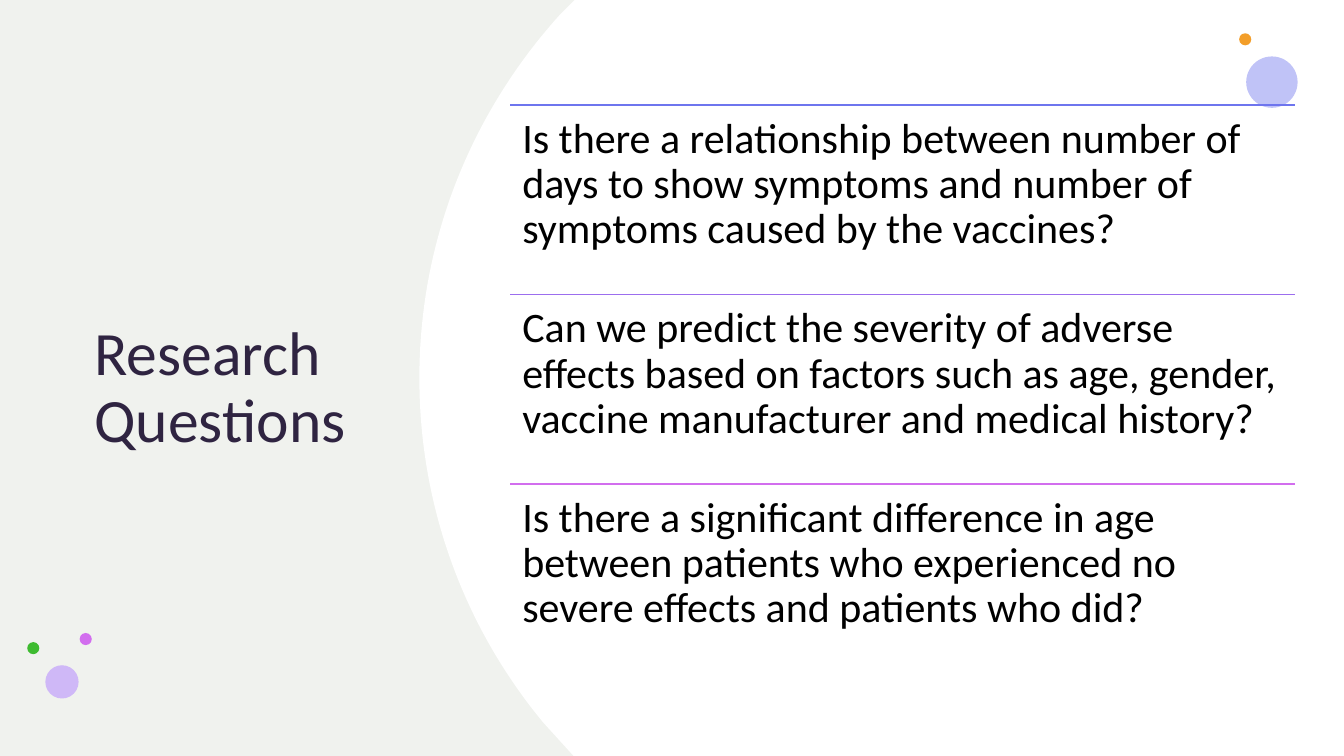
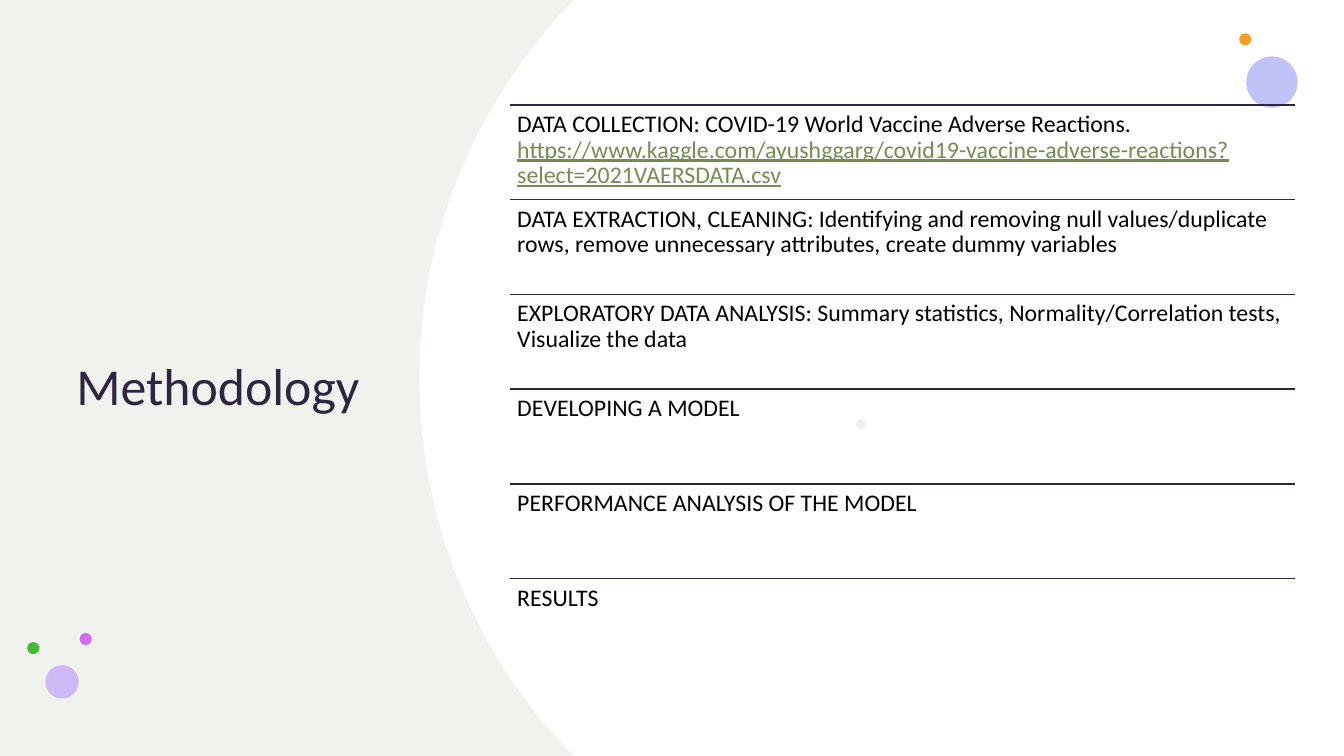
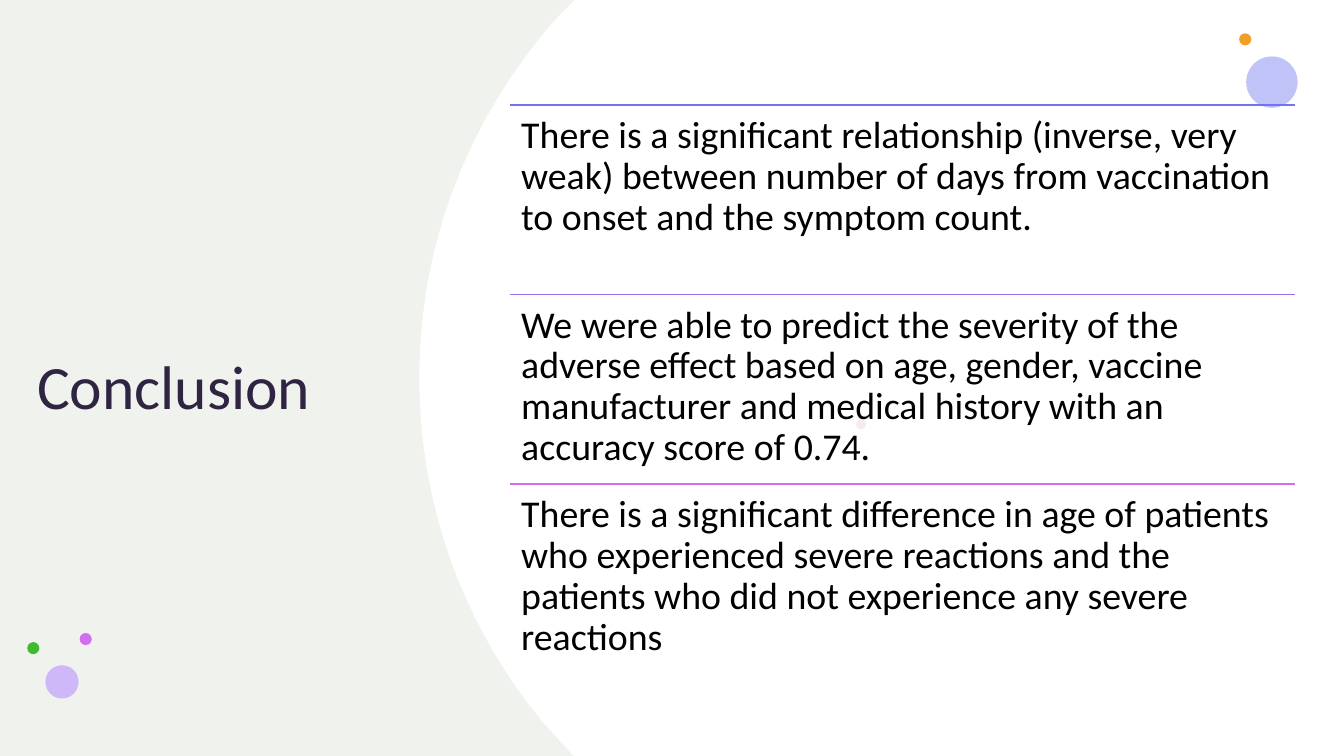
from pptx import Presentation
from pptx.dml.color import RGBColor
from pptx.enum.shapes import MSO_CONNECTOR as Connector, MSO_SHAPE as Shape
from pptx.enum.text import MSO_ANCHOR as Anchor
from pptx.oxml.ns import qn
from pptx.util import Inches, Pt
from lxml.etree import SubElement

FONT = "Calibri"
BLACK = RGBColor(0x00, 0x00, 0x00)
WHITE = RGBColor(0xFF, 0xFF, 0xFF)
PLUM = RGBColor(0x2F, 0x24, 0x41)
SAGE = RGBColor(0xD0, 0xD4, 0xC8)
OLIVE = RGBColor(0x76, 0x8A, 0x53)
BLUE = RGBColor(0x6E, 0x75, 0xEE)
VIOLET = RGBColor(0x9C, 0x6E, 0xEE)
MAGENTA = RGBColor(0xD2, 0x6E, 0xEE)
PERIWINKLE = RGBColor(0xA8, 0xAC, 0xF5)
ORANGE = RGBColor(0xF3, 0x9E, 0x29)
ROSE = RGBColor(0xE3, 0xBE, 0xBE)
LAVENDER = RGBColor(0xCF, 0xB8, 0xF7)
GREEN = RGBColor(0x3E, 0xBB, 0x30)

WIDTH, HEIGHT = 13.33, 7.5
TOP, BODY_HEIGHT = 1.04, 5.64
LIST_LEFT, LIST_WIDTH = 5.06, 7.78
TITLE_RIGHT = 3.97

DOTS = [
    (12.36, 0.56, 0.51, PERIWINKLE, 72),
    (12.29, 0.33, 0.12, ORANGE, 100),
    (8.49, 4.16, 0.1, ROSE, 28),
    (0.79, 6.28, 0.12, MAGENTA, 100),
    (0.45, 6.6, 0.33, LAVENDER, 100),
    (0.27, 6.37, 0.12, GREEN, 100),
]
PANEL_CORNERS = [(5.7, 0), (WIDTH, 0), (WIDTH, HEIGHT), (5.69, HEIGHT)]
PANEL_CURVES = [
    [(5.39, 7.17), (4.62, 6.24), (4.16, 5.05), (4.16, 3.75)],
    [(4.16, 3.75), (4.16, 2.36), (4.69, 1.1), (5.56, 0.14)],
]
CURVE_STEPS = 40

SLIDES = [
    {
        "title": "Research Questions", "title_left": 0.84, "title_size": 44,
        "size": 30, "inset": 0.12, "rules": [BLUE, VIOLET, MAGENTA],
        "items": [
            "Is there a relationship between number of days to show symptoms "
            "and number of symptoms caused by the vaccines?",
            "Can we predict the severity of adverse effects based on factors such as "
            "age, gender, vaccine manufacturer and medical history?",
            "Is there a significant difference in age between patients who experienced "
            "no severe effects and patients who did?",
        ],
    },
    {
        "title": "Methodology", "title_left": 0.66, "title_size": 37,
        "size": 17, "inset": 0.07, "rules": [PLUM] * 6,
        "items": [
            "DATA COLLECTION: COVID-19 World Vaccine Adverse Reactions. "
            "https://www.kaggle.com/ayushggarg/covid19-vaccine-adverse-reactions"
            "?select=2021VAERSDATA.csv",
            "DATA EXTRACTION, CLEANING: Identifying and removing null values/duplicate "
            "rows, remove unnecessary attributes, create dummy variables",
            "EXPLORATORY DATA ANALYSIS: Summary statistics, Normality/Correlation tests, "
            "Visualize the data",
            "DEVELOPING A MODEL",
            "PERFORMANCE ANALYSIS OF THE MODEL",
            "RESULTS",
        ],
    },
    {
        "title": "Conclusion", "title_left": 0.27, "title_size": 44,
        "size": 27, "inset": 0.11, "rules": [BLUE, VIOLET, MAGENTA],
        "items": [
            "There is a significant relationship (inverse, very weak) between number of "
            "days from vaccination to onset and the symptom count.",
            "We were able to predict the severity of the adverse effect based on age, "
            "gender, vaccine manufacturer and medical history with an accuracy score of 0.74.",
            "There is a significant difference in age of patients who experienced severe "
            "reactions and the patients who did not experience any severe reactions",
        ],
    },
]


def style_shape(shape, color, opacity=100):
    shape.shadow.inherit = False
    shape.line.fill.background()
    shape.fill.solid()
    shape.fill.fore_color.rgb = color
    if opacity < 100:
        color_element = shape.fill._xPr.find(qn("a:solidFill"))[0]
        SubElement(color_element, qn("a:alpha"), val=str(opacity * 1000))


def add_preset(slide, preset, left, top, width, height, color, opacity):
    shape = slide.shapes.add_shape(
        preset, Inches(left), Inches(top), Inches(width), Inches(height))
    style_shape(shape, color, opacity)


def curve_points(start, control1, control2, end):
    for step in range(CURVE_STEPS + 1):
        t = step / CURVE_STEPS
        u = 1 - t
        yield tuple(
            u**3 * a + 3 * u * u * t * b + 3 * u * t * t * c + t**3 * d
            for a, b, c, d in zip(start, control1, control2, end))


def add_panel(slide):
    points = PANEL_CORNERS + [
        point for curve in PANEL_CURVES for point in curve_points(*curve)]
    points = [(Inches(x), Inches(y)) for x, y in points]
    builder = slide.shapes.build_freeform(*points[0])
    builder.add_line_segments(points[1:])
    style_shape(builder.convert_to_shape(), WHITE)


def add_text(slide, text, left, top, width, height, *, size, color=BLACK,
             inset_x=0.1, inset_y=0.05, anchor=Anchor.TOP):
    box = slide.shapes.add_textbox(
        Inches(left), Inches(top), Inches(width), Inches(height))
    frame = box.text_frame
    frame.word_wrap = True
    frame.vertical_anchor = anchor
    frame.margin_left = frame.margin_right = Inches(inset_x)
    frame.margin_top = frame.margin_bottom = Inches(inset_y)
    paragraph = frame.paragraphs[0]
    paragraph.line_spacing = 0.9
    label, scheme, address = text.partition("https://")
    for part, is_address in ((label, False), (scheme + address, True)):
        if part:
            run = paragraph.add_run()
            run.text = part
            run.font.name = FONT
            run.font.size = Pt(size)
            run.font.color.rgb = OLIVE if is_address else color
            if is_address:
                run.font.underline = True


def add_rule(slide, top, color):
    rule = slide.shapes.add_connector(
        Connector.STRAIGHT, Inches(LIST_LEFT), Inches(top),
        Inches(LIST_LEFT + LIST_WIDTH), Inches(top))
    rule.line.color.rgb = color
    rule.line.width = Pt(1)
    SubElement(rule._element.spPr, qn("a:effectLst"))


def add_backdrop(slide):
    slide.background.fill.solid()
    slide.background.fill.fore_color.rgb = WHITE
    add_preset(slide, Shape.RECTANGLE, 0, 0, WIDTH, HEIGHT, SAGE, 30)
    add_panel(slide)
    for left, top, diameter, color, opacity in DOTS:
        add_preset(slide, Shape.OVAL, left, top, diameter, diameter, color, opacity)


def add_list(slide, content):
    row_height = BODY_HEIGHT / len(content["items"])
    for index, (item, color) in enumerate(zip(content["items"], content["rules"])):
        top = TOP + index * row_height
        add_rule(slide, top, color)
        add_text(slide, item, LIST_LEFT, top, LIST_WIDTH, row_height,
                 size=content["size"], inset_x=content["inset"],
                 inset_y=content["inset"])


def main():
    presentation = Presentation()
    presentation.slide_width = Inches(WIDTH)
    presentation.slide_height = Inches(HEIGHT)
    for content in SLIDES:
        slide = presentation.slides.add_slide(presentation.slide_layouts[6])
        add_backdrop(slide)
        left = content["title_left"]
        add_text(slide, content["title"], left, TOP, TITLE_RIGHT - left, BODY_HEIGHT,
                 size=content["title_size"], color=PLUM, anchor=Anchor.MIDDLE)
        add_list(slide, content)
    presentation.save("out.pptx")


if __name__ == "__main__":
    main()
